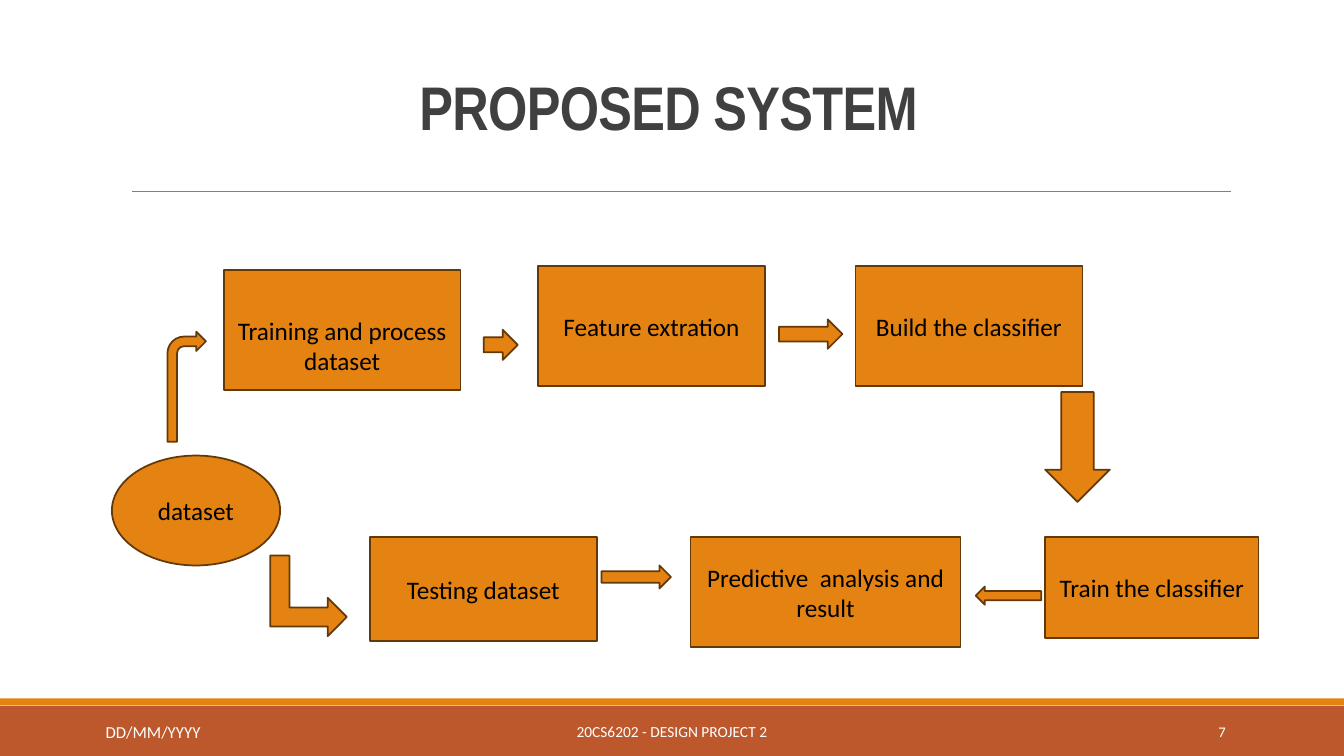
from lxml import etree
from pptx import Presentation
from pptx.dml.color import RGBColor
from pptx.enum.shapes import MSO_CONNECTOR, MSO_SHAPE
from pptx.enum.text import MSO_ANCHOR, PP_ALIGN
from pptx.oxml.ns import qn
from pptx.util import Cm, Pt

ORANGE = RGBColor(0xE4, 0x83, 0x12)
RUST = RGBColor(0xBD, 0x58, 0x2C)
BROWN = RGBColor(0x64, 0x39, 0x08)
GREY = RGBColor(0x80, 0x80, 0x80)
DARK = RGBColor(0x40, 0x40, 0x40)
BLACK = RGBColor(0, 0, 0)
WHITE = RGBColor(0xFF, 0xFF, 0xFF)

LEFT, CENTER, RIGHT = PP_ALIGN.LEFT, PP_ALIGN.CENTER, PP_ALIGN.RIGHT
TOP, MIDDLE = MSO_ANCHOR.TOP, MSO_ANCHOR.MIDDLE
RECT, OVAL = MSO_SHAPE.RECTANGLE, MSO_SHAPE.OVAL
RIGHT_ARROW, LEFT_ARROW = MSO_SHAPE.RIGHT_ARROW, MSO_SHAPE.LEFT_ARROW
DOWN_ARROW, BENT_ARROW = MSO_SHAPE.DOWN_ARROW, MSO_SHAPE.BENT_ARROW
BENT_UP_ARROW = MSO_SHAPE.BENT_UP_ARROW
STRAIGHT = MSO_CONNECTOR.STRAIGHT

WIDTH, HEIGHT = 33.87, 19.05
TOP_ROW, BOTTOM_ROW = 6.71, 13.54


class SlideBuilder:
    body_font = "Calibri"
    title_font = "Arial Narrow"

    def __init__(self, slide):
        self.slide = slide

    def fill_text(self, tf, text, size, color, align=CENTER, anchor=MIDDLE):
        tf.word_wrap = True
        tf.vertical_anchor = anchor
        tf.text = text
        for p in tf.paragraphs:
            p.alignment = align
            p.font.name = self.body_font
            p.font.size = Pt(size)
            p.font.color.rgb = color

    def shape(self, kind, box, fill, outline=None):
        sp = self.slide.shapes.add_shape(kind, *map(Cm, box))
        sp.shadow.inherit = False
        sp.fill.solid()
        sp.fill.fore_color.rgb = fill
        if outline is None:
            sp.line.fill.background()
        else:
            sp.line.color.rgb = outline
            sp.line.width = Pt(1.25)
        return sp

    def step(self, kind, box, text, top_inset=0.13):
        sp = self.shape(kind, box, ORANGE, BROWN)
        sp.text_frame.margin_top = Cm(top_inset)
        self.fill_text(sp.text_frame, text, 18, BLACK)

    def arrow(self, kind, box, rotation=0):
        self.shape(kind, box, ORANGE, BROWN).rotation = rotation

    def text(self, box, text, size, color, align=CENTER, anchor=MIDDLE):
        tf = self.slide.shapes.add_textbox(*map(Cm, box)).text_frame
        self.fill_text(tf, text, size, color, align, anchor)
        return tf.paragraphs[0]

    def title(self, box, text):
        p = self.text(box, text, 44, DARK)
        p.line_spacing = 0.85
        p.font.name = self.title_font
        p.font.bold = True
        p.runs[0]._r.get_or_add_rPr().set("spc", "-50")

    def rule(self, x1, x2, y):
        line = self.slide.shapes.add_connector(STRAIGHT, Cm(x1), Cm(y), Cm(x2), Cm(y))
        line.line.color.rgb = GREY
        line.line.width = Pt(0.5)
        etree.SubElement(line._element.spPr, qn("a:effectLst"))


def main():
    prs = Presentation()
    prs.slide_width, prs.slide_height = Cm(WIDTH), Cm(HEIGHT)
    s = SlideBuilder(prs.slides.add_slide(prs.slide_layouts[6]))

    s.shape(RECT, (0, 17.78, WIDTH, 1.27), RUST)
    s.shape(RECT, (0, 17.6, WIDTH, 0.17), ORANGE)
    s.rule(3.33, 31.01, 4.83)
    s.title((3.05, 0.79, 27.94, 4.04), "PROPOSED SYSTEM ")
    s.text((10.24, 17.93, 13.39, 1.02), "20CS6202 - DESIGN PROJECT 2", 11, WHITE)
    s.text((27.51, 17.93, 3.63, 1.02), "7", 10.5, WHITE, RIGHT)
    s.text((2.41, 18.06, 6.58, 0.76), "DD/MM/YYYY", 12, WHITE, LEFT, TOP)

    s.step(RECT, (5.64, 6.81, 5.97, 3.02), "Training and process\ndataset", 0.89)
    for kind, box, text in (
        (RECT, (13.56, TOP_ROW, 5.72, 3.02), "Feature extration"),
        (RECT, (21.56, TOP_ROW, 5.72, 3.02), "Build the classifier"),
        (RECT, (26.34, BOTTOM_ROW, 5.38, 2.54), "Train the classifier"),
        (RECT, (17.4, BOTTOM_ROW, 6.81, 2.77), "Predictive  analysis and result"),
        (RECT, (9.32, BOTTOM_ROW, 5.72, 2.62), "Testing dataset"),
        (OVAL, (2.82, 11.48, 4.24, 2.77), "dataset"),
    ):
        s.step(kind, box, text)

    for kind, box in (
        (BENT_ARROW, (4.22, 8.36, 0.97, 2.77)),
        (RIGHT_ARROW, (12.19, 8.31, 0.86, 0.76)),
        (RIGHT_ARROW, (19.63, 8.05, 1.6, 0.74)),
        (DOWN_ARROW, (26.34, 9.88, 1.63, 2.77)),
        (LEFT_ARROW, (24.59, 14.78, 1.65, 0.46)),
        (RIGHT_ARROW, (15.16, 14.25, 1.75, 0.58)),
    ):
        s.arrow(kind, box)
    s.arrow(BENT_UP_ARROW, (6.76, 14.05, 2.03, 1.93), 90)

    prs.save("out.pptx")


if __name__ == "__main__":
    main()
